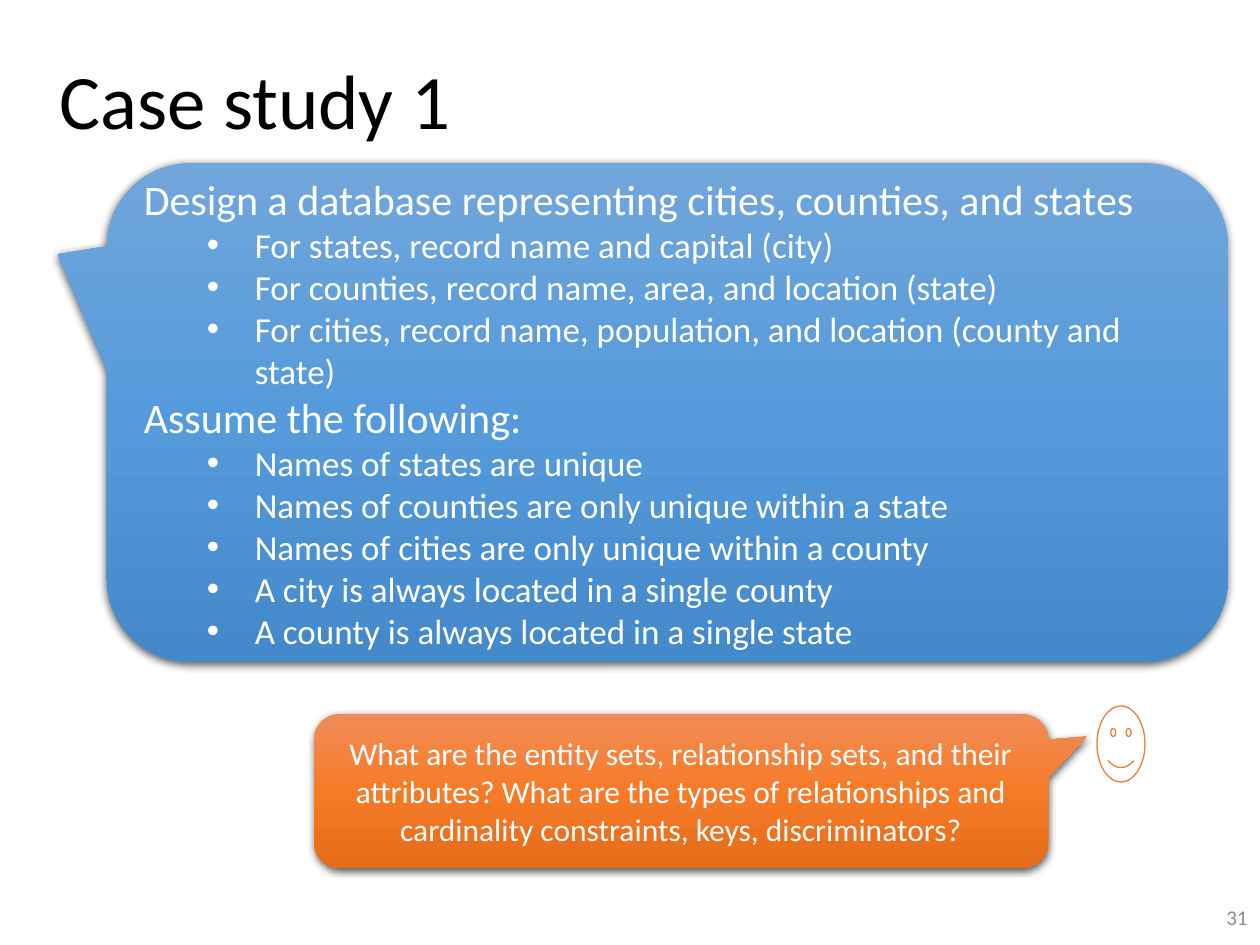
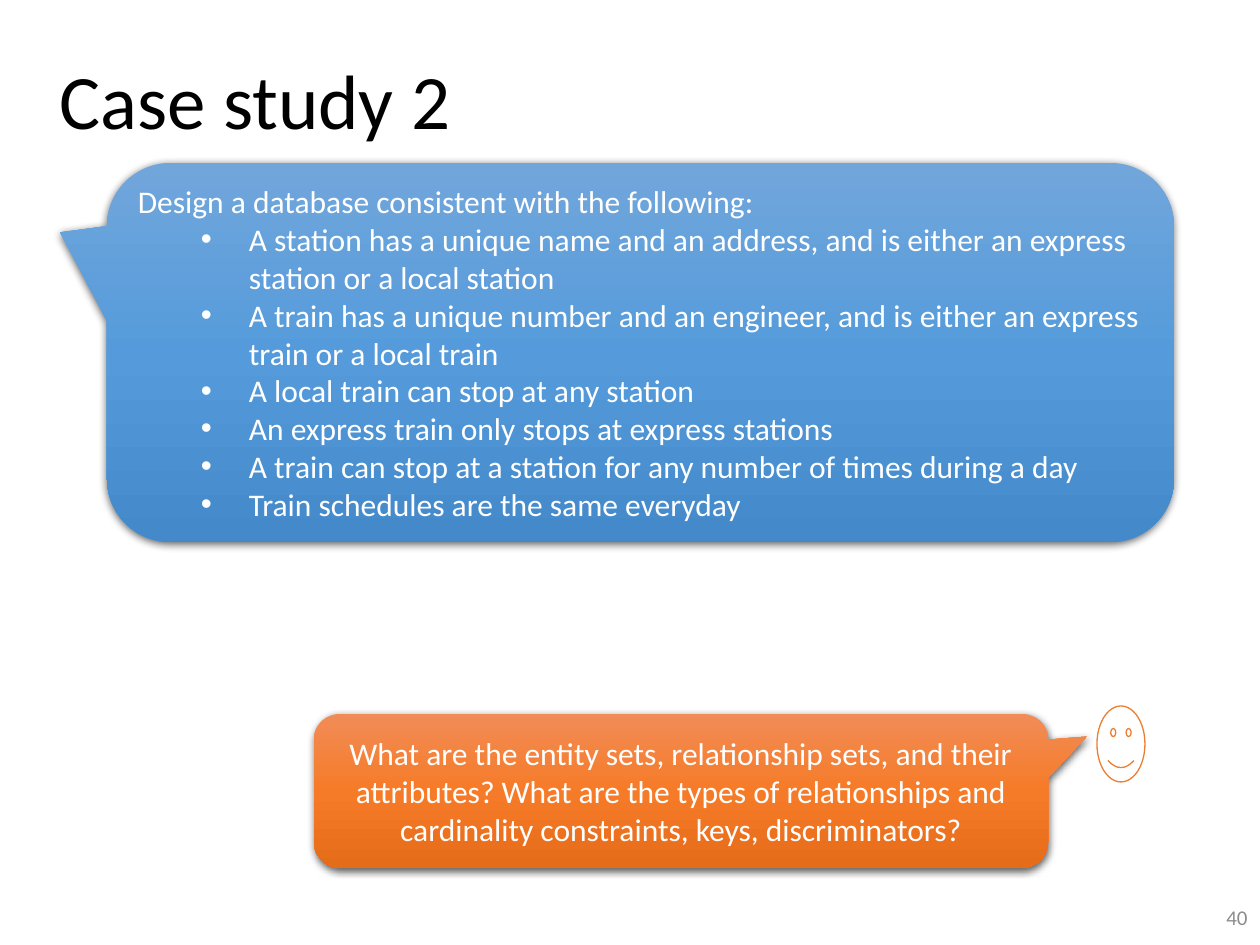
"""Build two database case-study slides with callouts and discussion prompts."""
from dataclasses import dataclass
from typing import NamedTuple

from pptx import Presentation
from pptx import util as u
from pptx.dml.color import RGBColor
from pptx.enum import shapes, text
from pptx.oxml import ns, parse_xml

PX = 914400 / 126
LEFT, CENTER, RIGHT = text.PP_ALIGN.LEFT, text.PP_ALIGN.CENTER, text.PP_ALIGN.RIGHT


@dataclass(frozen=True)
class Theme:
    font: str = "Calibri"
    ink: str = "000000"
    white: str = "FFFFFF"
    grey: str = "8C8C8C"
    orange: str = "ED7D31"
    blue_fade: tuple[str, ...] = ("71A6DB", "559BDB", "448ACA")
    orange_fade: tuple[str, ...] = ("F18C57", "F67B28", "E56C19")
    title: int = 44
    large: int = 24
    medium: int = 20
    body: int = 18
    number: int = 12


T = Theme()


class Box(NamedTuple):
    x: int
    y: int
    w: int
    h: int


class Line(NamedTuple):
    text: str
    size: int = T.body
    bullet: bool = False
    align: text.PP_ALIGN = LEFT
    color: str = T.white
    spacing: float = 1.0


class Callout(NamedTuple):
    box: Box
    tail: tuple[float, float]
    fade: tuple[str, ...]
    lines: list[Line]


class Section(NamedTuple):
    heading: str
    points: list[str]


class CaseStudy(NamedTuple):
    title: str
    number: str
    box: Box
    heading_size: int
    point_size: int
    sections: list[Section]


TITLE_BOX = Box(47, 23, 1213, 163)
NUMBER_BOX = Box(977, 892, 283, 50)
SMILEY_BOX = Box(1097, 706, 48, 76)
QUESTION = Callout(Box(314, 714, 734, 154), (0.553, -0.353), T.orange_fade, [Line(
    "What are the entity sets, relationship sets, and their attributes? "
    "What are the types of relationships and cardinality constraints, keys, discriminators?",
    align=CENTER)])

CASES = [
    CaseStudy("Case study 1", "31", Box(107, 163, 1121, 499), T.large, T.medium, [
        Section("Design a database representing cities, counties, and states", [
            "For states, record name and capital (city)",
            "For counties, record name, area, and location (state)",
            "For cities, record name, population, and location (county and state)",
        ]),
        Section("Assume the following:", [
            "Names of states are unique",
            "Names of counties are only unique within a state",
            "Names of cities are only unique within a county",
            "A city is always located in a single county",
            "A county is always located in a single state",
        ]),
    ]),
    CaseStudy("Case study 2", "40", Box(107, 163, 1067, 379), T.body, T.body, [
        Section("Design a database consistent with the following:", [
            "A station has a unique name and an address, and is either an express station "
            "or a local station",
            "A train has a unique number and an engineer, and is either an express train "
            "or a local train",
            "A local train can stop at any station",
            "An express train only stops at express stations",
            "A train can stop at a station for any number of times during a day",
            "Train schedules are the same everyday",
        ]),
    ]),
]


def px(n: int) -> int:
    """Turn pixels into EMU."""
    return round(n * PX)


def place(box: Box) -> list[int]:
    """Give a box's left, top, width and height in EMU."""
    return [px(n) for n in box]


def add_bullet(p) -> None:
    """Give a paragraph a hanging round bullet."""
    p.level = 1
    pr = p._p.get_or_add_pPr()
    pr.set("marL", str(px(111)))
    pr.set("indent", str(px(-48)))
    pr.append(parse_xml(f'<a:buFont {ns.nsdecls("a")} typeface="Arial"/>'))
    pr.append(parse_xml(f'<a:buChar {ns.nsdecls("a")} char="•"/>'))


def write(sp, lines: list[Line]) -> None:
    """Write lines into a shape, centred vertically."""
    tf = sp.text_frame
    tf.word_wrap = True
    tf.vertical_anchor = text.MSO_ANCHOR.MIDDLE
    for i, line in enumerate(lines):
        p = tf.add_paragraph() if i else tf.paragraphs[0]
        p.alignment = line.align
        p.line_spacing = line.spacing
        if line.bullet:
            add_bullet(p)
        r = p.add_run()
        r.text = line.text
        r.font.name = T.font
        r.font.size = u.Pt(line.size)
        r.font.color.rgb = RGBColor.from_string(line.color)


def add_text(s, box: Box, line: Line) -> None:
    """Add a text box holding one line."""
    write(s.shapes.add_textbox(*place(box)), [line])


def add_callout(s, callout: Callout) -> None:
    """Add a rounded callout with a vertical fade and a soft shadow."""
    sp = s.shapes.add_shape(shapes.MSO_SHAPE.ROUNDED_RECTANGULAR_CALLOUT, *place(callout.box))
    for i, value in enumerate((*callout.tail, 0.167)):
        sp.adjustments[i] = value
    stops = "".join(f'<a:gs pos="{i * 50000}"><a:srgbClr val="{c}"/></a:gs>'
                    for i, c in enumerate(callout.fade))
    spPr = sp.element.spPr
    spPr.find(ns.qn("a:prstGeom")).addnext(parse_xml(
        f'<a:gradFill {ns.nsdecls("a")} rotWithShape="1"><a:gsLst>{stops}</a:gsLst>'
        '<a:lin ang="5400000" scaled="0"/></a:gradFill>'))
    sp.line.fill.background()
    sp.shadow.inherit = False
    spPr.find(ns.qn("a:effectLst")).append(parse_xml(
        f'<a:outerShdw {ns.nsdecls("a")} blurRad="{u.Pt(4.5)}" dist="{u.Pt(1.5)}" '
        'dir="5400000" algn="ctr" rotWithShape="0">'
        '<a:srgbClr val="000000"><a:alpha val="63000"/></a:srgbClr></a:outerShdw>'))
    write(sp, callout.lines)


def add_smiley(s) -> None:
    """Add the outlined face that asks the question."""
    sp = s.shapes.add_shape(shapes.MSO_SHAPE.SMILEY_FACE, *place(SMILEY_BOX))
    sp.shadow.inherit = False
    sp.fill.background()
    sp.line.color.rgb = RGBColor.from_string(T.orange)
    sp.line.width = u.Pt(0.75)


def add_case(prs, case: CaseStudy) -> None:
    """Add one case-study slide."""
    s = prs.slides.add_slide(prs.slide_layouts[6])
    add_text(s, TITLE_BOX, Line(case.title, T.title, color=T.ink, spacing=0.9))
    add_text(s, NUMBER_BOX, Line(case.number, T.number, align=RIGHT, color=T.grey))
    lines = []
    for section in case.sections:
        lines.append(Line(section.heading, case.heading_size))
        lines += [Line(point, case.point_size, bullet=True) for point in section.points]
    add_callout(s, Callout(case.box, (-0.544, -0.317), T.blue_fade, lines))
    add_callout(s, QUESTION)
    add_smiley(s)


def main() -> None:
    """Build and save the deck."""
    prs = Presentation()
    prs.slide_width, prs.slide_height = px(1260), px(945)
    for case in CASES:
        add_case(prs, case)
    prs.save("out.pptx")


if __name__ == "__main__":
    main()
